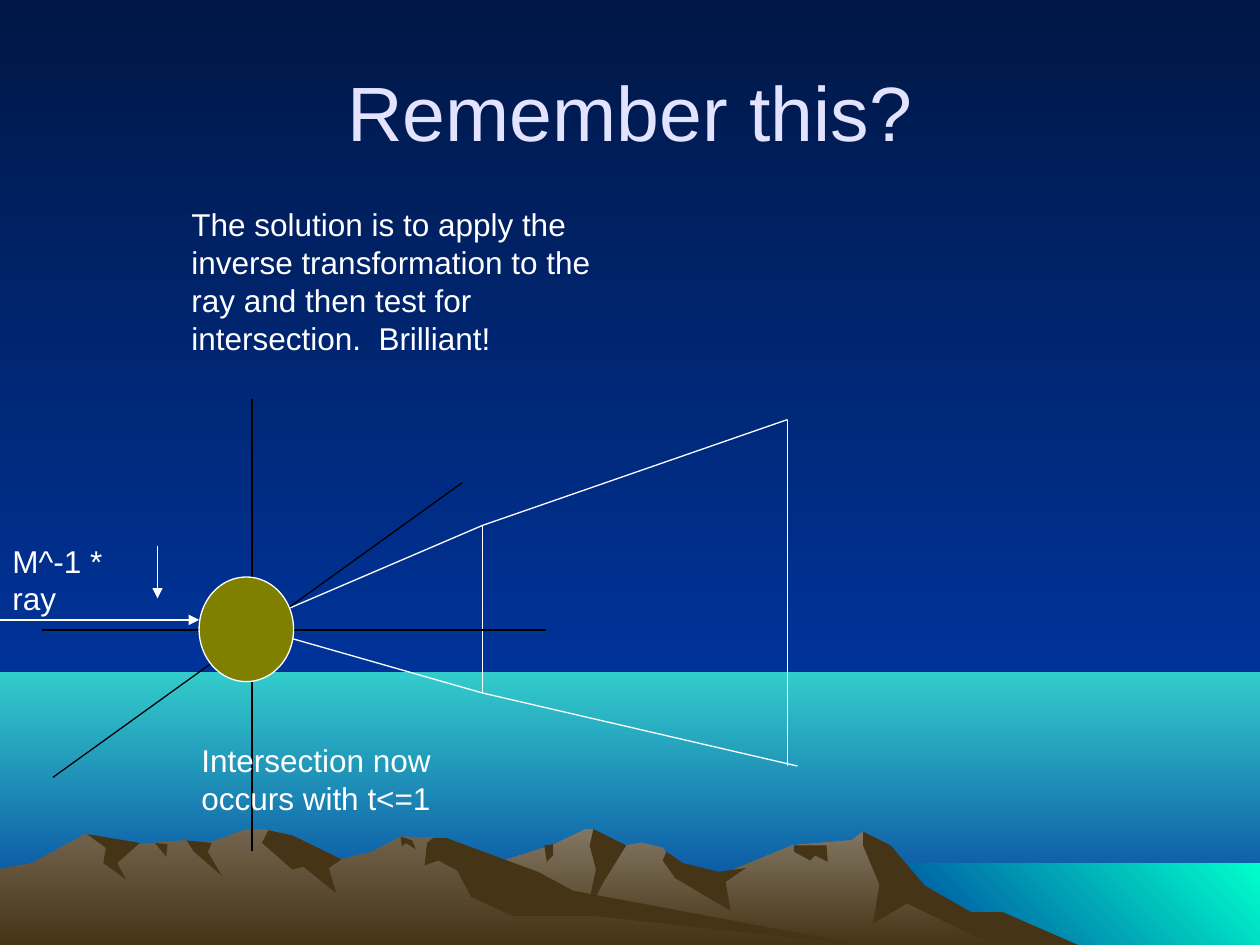
import pptx
import pptx.util
import pptx.dml.color
import pptx.enum.shapes
import pptx.enum.text
import lxml.etree

PX = 9144  # EMU per px, 100 px to the inch
WIDTH, HEIGHT = 1000, 750
HORIZON = 533
SHORE = 685
FOOT = 751  # where the mountains end
WHITE, BLACK, EARTH = "FFFFFF", "000000", "463416"
NIGHT, BLUE, TURQUOISE, LAGOON = "001746", "003399", "33CCCC", "00FFCC"
DRAWING = "{http://schemas.openxmlformats.org/drawingml/2006/main}"


def paint(fill, *colours, angle=90):
    """Fill with one colour, or with a gradient of two at a clockwise angle."""
    if len(colours) == 1:
        fill.solid()
        fill.fore_color.rgb = pptx.dml.color.RGBColor.from_string(colours[0])
        return
    fill.gradient()
    fill.gradient_angle = 360 - angle
    for stop, colour in zip(fill.gradient_stops, colours):
        stop.color.rgb = pptx.dml.color.RGBColor.from_string(colour)


def write(box, text, size=18, colour=WHITE, align="LEFT", anchor="TOP", before=0, grow=False):
    frame = box.text_frame
    frame.word_wrap = True
    sizing = pptx.enum.text.MSO_AUTO_SIZE
    frame.auto_size = sizing.SHAPE_TO_FIT_TEXT if grow else sizing.NONE
    frame.vertical_anchor = pptx.enum.text.MSO_ANCHOR[anchor]
    para = frame.paragraphs[0]
    para.alignment = pptx.enum.text.PP_ALIGN[align]
    para.space_before = pptx.util.Pt(before)
    span = para.add_run()
    span.text = text
    span.font.name = "Arial"
    span.font.size = pptx.util.Pt(size)
    paint(span.font.fill, colour)


deck = pptx.Presentation()
deck.slide_width, deck.slide_height = WIDTH * PX, HEIGHT * PX
page = deck.slides.add_slide(deck.slide_layouts[5])
paint(page.background.fill, NIGHT, BLUE)

# Sea, sky and lagoon: each is a band that reaches the right edge
bands = [
    # left, top, bottom, colour at the start and end, angle
    (0, HORIZON, HEIGHT, TURQUOISE, BLUE, 90),
    (0, 0, HORIZON, NIGHT, BLUE, 90),
    (683, SHORE, HEIGHT, LAGOON, BLUE, 135),
]
for left, top, bottom, start, end, angle in bands:
    band = page.shapes.add_shape(
        pptx.enum.shapes.MSO_SHAPE.RECTANGLE,
        left * PX, top * PX, (WIDTH - left) * PX, (bottom - top) * PX)
    band.shadow.inherit = False
    band.line.fill.background()
    paint(band.fill, start, end, angle=angle)

# Mountains: a ridge runs left to right and drops to the foot at both ends.
# Its folds are dark outlines that lie on it.
far_range = {
    "peak colour": "837763",
    "ridge": [(258, 751), (327, 709), (394, 685), (438, 671), (465, 658), (471, 658),
              (486, 673), (509, 669), (526, 673), (536, 690), (566, 697), (629, 671),
              (676, 667), (685, 660), (723, 698), (764, 723), (821, 751)],
    "folds": {
        "east slope": [(685, 660), (707, 671), (734, 703), (771, 724), (796, 724), (858, 751),
                       (792, 752), (720, 717), (693, 733), (698, 702), (685, 671)],
        "summit": [(471, 658), (497, 671), (479, 700), (465, 727), (473, 690), (468, 671)],
        "saddle": [(529, 676), (542, 685), (570, 692), (592, 689), (576, 700), (580, 723),
                   (536, 697), (526, 683)],
        "notch": [(630, 671), (656, 671), (657, 684), (647, 679), (643, 683), (630, 676)],
        "cleft": [(432, 671), (439, 670), (439, 679), (434, 684)],
    },
}
near_range = {
    "peak colour": "72644E",
    "ridge": [(0, 690), (26, 685), (68, 662), (94, 671), (123, 669), (148, 667), (160, 671),
              (196, 658), (212, 658), (223, 663), (236, 681), (271, 682), (296, 676),
              (318, 664), (354, 665), (432, 712), (690, 751)],
    "folds": {
        "summit": [(213, 659), (232, 663), (271, 682), (261, 689), (267, 709), (241, 688),
                   (232, 690), (208, 669)],
        "east slope": [(344, 665), (354, 665), (427, 692), (455, 707), (690, 751), (472, 727),
                       (407, 727), (374, 712), (363, 691), (348, 683), (337, 687), (339, 669)],
        "cleft": [(318, 664), (327, 667), (330, 674), (322, 669), (319, 672)],
        "gully": [(148, 667), (168, 669), (165, 676), (176, 695), (154, 676)],
        "notch": [(123, 669), (133, 670), (132, 680)],
        "west slope": [(69, 662), (111, 669), (93, 685), (100, 698), (82, 685), (84, 673)],
    },
}
for mountains in (far_range, near_range):
    ridge = mountains["ridge"]
    body = [*ridge, (ridge[-1][0], FOOT), (ridge[0][0], FOOT)]
    outlines = [(body, (mountains["peak colour"], EARTH))]
    outlines += [(fold, (EARTH,)) for fold in mountains["folds"].values()]
    for points, colours in outlines:
        builder = page.shapes.build_freeform(*points[0], scale=PX)
        builder.add_line_segments(points[1:], close=True)
        outline = builder.convert_to_shape()
        outline.shadow.inherit = False
        outline.line.fill.background()
        paint(outline.fill, *colours)

title = page.shapes.title
title.left, title.top, title.width, title.height = 50 * PX, 25 * PX, 900 * PX, 125 * PX
write(title, "Remember this?", size=44, colour="E3E3FF", align="CENTER", anchor="MIDDLE")
page.shapes._spTree.append(title._element)  # in front of the landscape

# View frustum: two edges leave the eye and bend at the near plane
near_top, near_bottom = (383, 417), (383, 550)
far_top, far_bottom = (625, 333), (625, 608)
frustum = [
    ((208, 492), near_top), (near_top, far_top),
    ((208, 500), near_bottom), (near_bottom, (633, 608)),
    (near_top, near_bottom), (far_top, far_bottom),
]
origin_x, origin_y = 200, 500
axes = [
    ((origin_x, 317), (origin_x, 675)),
    ((33, origin_y), (433, origin_y)),
    ((42, 617), (367, 383)),
]
ray = ((-58, 492), (158, 492))
label_pointer = ((125, 433), (125, 475))

line_groups = [(frustum, WHITE, False), (axes, BLACK, False),
               ([ray, label_pointer], WHITE, True)]
for segments, colour, has_arrow in line_groups:
    for (x1, y1), (x2, y2) in segments:
        line = page.shapes.add_connector(
            pptx.enum.shapes.MSO_CONNECTOR.STRAIGHT, x1 * PX, y1 * PX, x2 * PX, y2 * PX)
        line.line.width = pptx.util.Pt(0.75)
        paint(line.line.fill, colour)
        if has_arrow:
            lxml.etree.SubElement(line.line._ln, DRAWING + "tailEnd", type="triangle")
        lxml.etree.SubElement(line._element.spPr, DRAWING + "effectLst")

sphere = page.shapes.add_shape(
    pptx.enum.shapes.MSO_SHAPE.OVAL, 158 * PX, 458 * PX, 75 * PX, 83 * PX)
sphere.shadow.inherit = False
paint(sphere.fill, "808000")
paint(sphere.line.fill, WHITE)
sphere.line.width = pptx.util.Pt(0.75)

notes = [
    # left, top, width, height, text
    (142, 158, 358, 130, "The solution is to apply the inverse transformation to the ray "
                         "and then test for intersection.  Brilliant!"),
    (0, 425, 125, 70, "M^-1 * ray"),
    (150, 583, 267, 70, "Intersection now occurs with t<=1"),
]
for left, top, width, height, text in notes:
    box = page.shapes.add_textbox(left * PX, top * PX, width * PX, height * PX)
    write(box, text, before=11.2, grow=True)

deck.save("out.pptx")
